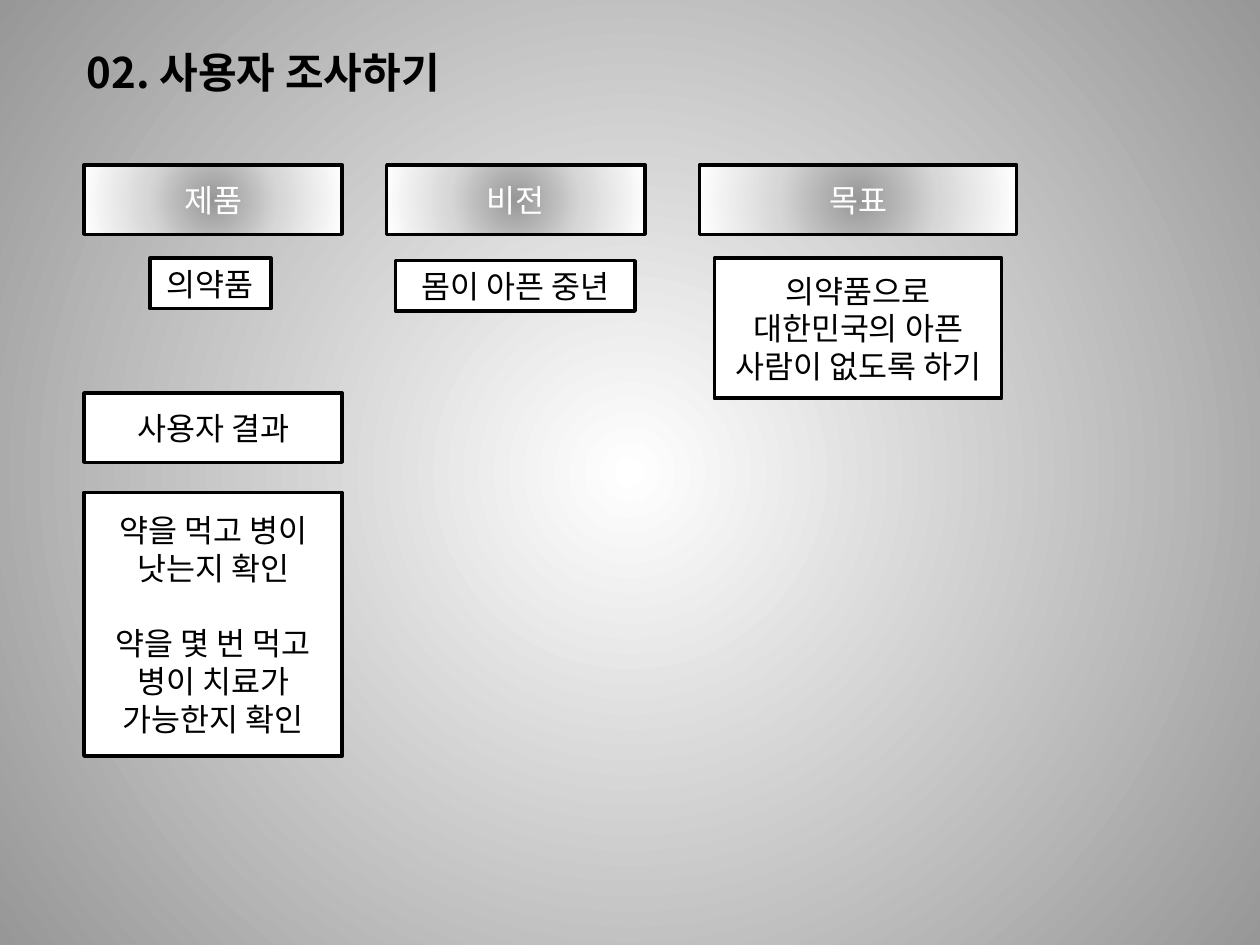
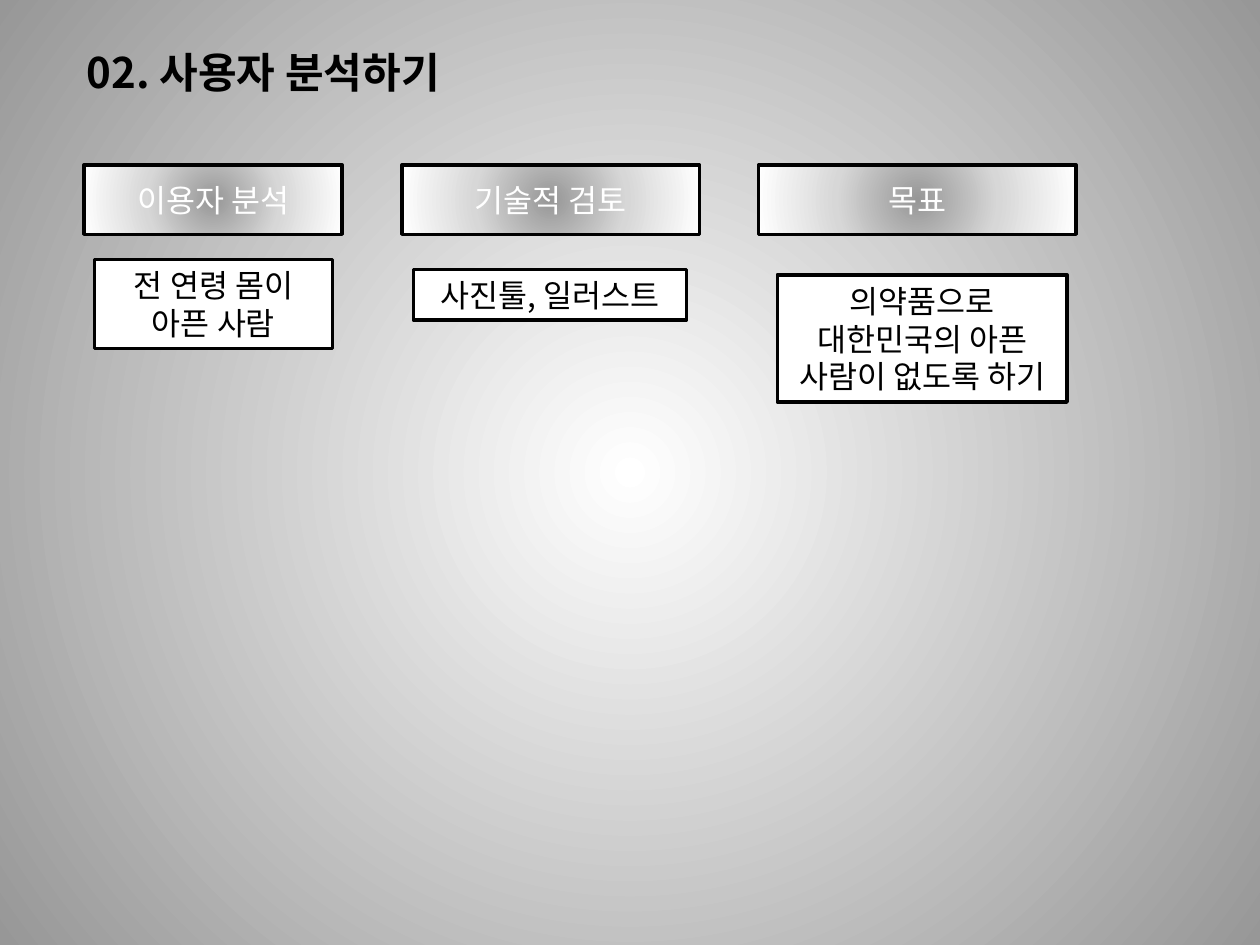
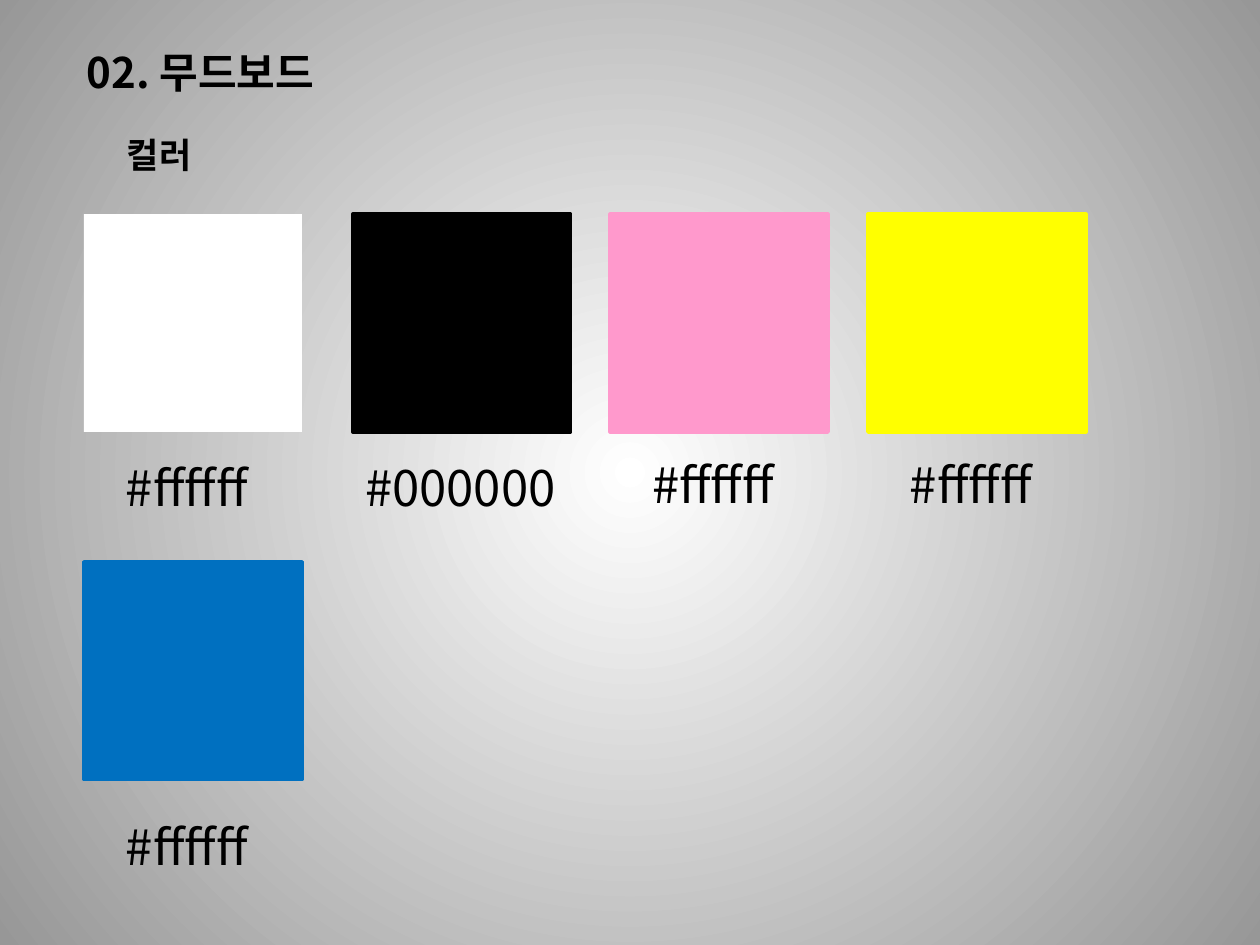
from lxml.etree import SubElement
from pptx import Presentation
from pptx.dml.color import RGBColor
from pptx.enum.shapes import MSO_SHAPE
from pptx.enum.text import MSO_ANCHOR, MSO_AUTO_SIZE, PP_ALIGN
from pptx.oxml.ns import qn
from pptx.util import Pt

FONT = "Noto Sans CJK KR"
BLACK, WHITE, GREY, SILVER = "000000", "FFFFFF", "979797", "D7D7D7"
BACKGROUND_STOPS = [(0, WHITE), (100, GREY)]
HEADING_STOPS = [(0, GREY), (50, SILVER), (100, WHITE)]
LEFT, HEADING_TOP, HEADING_HEIGHT = 48, 94.3, 39.6
SWATCH = 124.5


def rgb(color):
    return RGBColor.from_string(color)


def radial_fill(fill, element, stops):
    """Give the fill inside element a circular gradient, centre first."""
    fill.gradient()
    grad = next(element.iter(qn("a:gradFill")))
    for child in list(grad):
        grad.remove(child)
    gs_list = SubElement(grad, qn("a:gsLst"))
    for percent, color in stops:
        gs = SubElement(gs_list, qn("a:gs"), pos=str(percent * 1000))
        SubElement(gs, qn("a:srgbClr"), val=color)
    circle = SubElement(grad, qn("a:path"), path="circle")
    SubElement(circle, qn("a:fillToRect"), l="50000", t="50000", r="50000", b="50000")


class Deck:
    def __init__(self):
        self.prs = Presentation()
        self.prs.slide_width, self.prs.slide_height = Pt(720), Pt(540)
        master = self.prs.slide_master
        radial_fill(master.background.fill, master.element, BACKGROUND_STOPS)
        self.s = None

    def slide(self, title, width):
        self.s = self.prs.slides.add_slide(self.prs.slide_layouts[5])
        sp = self.s.shapes.title
        sp.left, sp.top, sp.width, sp.height = Pt(42.5), Pt(23), Pt(width), Pt(36)
        self.add_lines(sp, [title], 24, bold=True, wrap=False)

    def add_lines(self, sp, lines, size, color=BLACK, bold=False, wrap=True,
                  align=PP_ALIGN.LEFT, anchor=MSO_ANCHOR.TOP, gap=0):
        tf = sp.text_frame
        tf.word_wrap, tf.vertical_anchor = wrap, anchor
        tf.auto_size = MSO_AUTO_SIZE.NONE
        for i, line in enumerate(lines):
            p = tf.add_paragraph() if i else tf.paragraphs[0]
            p.alignment = align
            p.space_before = Pt(gap if i else 0)
            r = p.add_run()
            r.text = line
            r.font.size, r.font.bold, r.font.name = Pt(size), bold, FONT
            r.font.color.rgb = rgb(color)
        for r_pr in sp.element.iter(qn("a:rPr")):
            SubElement(r_pr, qn("a:ea"), typeface=FONT)

    def text(self, x, y, w, h, line, size, **style):
        sp = self.s.shapes.add_textbox(Pt(x), Pt(y), Pt(w), Pt(h))
        self.add_lines(sp, [line], size, **style)

    def rect(self, x, y, w, h, fill=WHITE, line=BLACK):
        sp = self.s.shapes.add_shape(MSO_SHAPE.RECTANGLE, Pt(x), Pt(y), Pt(w), Pt(h))
        sp.shadow.inherit = False
        sp.fill.solid()
        sp.fill.fore_color.rgb = rgb(fill)
        if line:
            sp.line.color.rgb, sp.line.width = rgb(line), Pt(2)
        else:
            sp.line.fill.background()
        return sp

    def box(self, x, y, w, h, *lines, color=BLACK):
        sp = self.rect(x, y, w, h)
        self.add_lines(sp, lines, 18, color, align=PP_ALIGN.CENTER,
                       anchor=MSO_ANCHOR.MIDDLE, gap=21.5)
        return sp

    def heading(self, x, w, line):
        sp = self.box(x, HEADING_TOP, w, HEADING_HEIGHT, line, color=WHITE)
        radial_fill(sp.fill, sp.element, HEADING_STOPS)

    def columns(self, columns):
        """Draw each heading with its white box below."""
        for heading, body in columns:
            self.heading(*heading)
            self.box(*body)

    def swatch(self, x, y, fill, line, code, label_top, label_width=90.7):
        self.rect(x, y, SWATCH, SWATCH, fill, line)
        self.text(x + (SWATCH - label_width) / 2, label_top, label_width, 41, code, 28)


def main():
    deck = Deck()
    goal = "의약품으로 대한민국의 아픈 사람이 없도록 하기"

    deck.slide("02. 사용자 조사하기", 235.5)
    deck.columns([
        ((LEFT, 147.6, "제품"), (85.7, 147.6, 69.1, 28.8, "의약품")),
        ((221, 147.6, "비전"), (226.1, 149, 136.8, 28.8, "몸이 아픈 중년")),
        ((399.6, 181.4, "목표"), (408.2, 147.6, 164.2, 80, goal)),
    ])
    deck.box(LEFT, 224.6, 147.6, HEADING_HEIGHT, "사용자 결과")
    deck.box(LEFT, 281.5, 147.6, 150.5, "약을 먹고 병이 낫는지 확인",
             "약을 몇 번 먹고 병이 치료가 가능한지 확인")

    deck.slide("02. 사용자 분석하기", 235.5)
    deck.columns([
        ((LEFT, 147.6, "이용자 분석"), (54, 148.3, 136, 51, "전 연령 몸이 아픈 사람")),
        ((229.7, 170, "기술적 검토"), (236.2, 154, 156.2, 28.8, "사진툴, 일러스트")),
        ((433.5, 181.4, "목표"), (444.2, 157, 165.6, 72.7, goal)),
    ])

    deck.slide("02. 무드보드", 154)
    deck.text(65.5, 72.7, 54.7, 31.7, "컬러", 20, bold=True, wrap=False)
    top, pink, yellow, blue = 122.4, "FF99CC", "FFFF00", "0070C0"
    deck.swatch(LEFT, top, WHITE, None, "#ffffff", 257.8)
    deck.swatch(201.6, top, BLACK, BLACK, "#000000", 257.8, SWATCH)
    deck.swatch(348.7, top, pink, pink, "#ffffff", 256.3)
    deck.swatch(496, top, yellow, yellow, "#ffffff", 256.3)
    deck.swatch(LEFT, 321, blue, blue, "#ffffff", 463)

    deck.prs.save("out.pptx")


if __name__ == "__main__":
    main()
